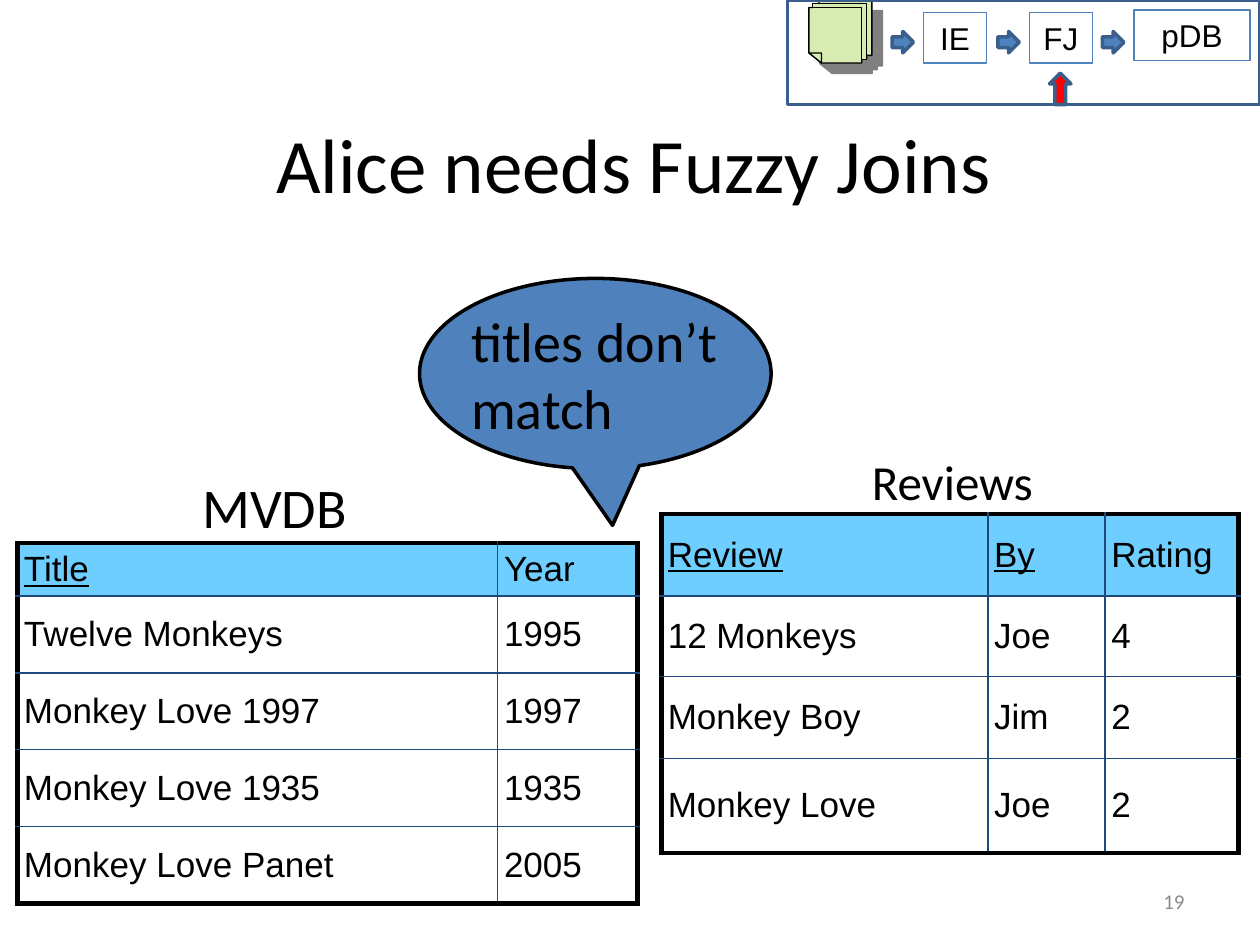
import pptx
import pptx.dml.color
import pptx.enum.shapes
import pptx.enum.text
import pptx.oxml
import pptx.oxml.ns
import pptx.util
from pptx.util import Inches

COLORS = {
    "ink": "000000",
    "muted": "8C8C8C",
    "blue": "4F81BD",
    "edge": "3A5F8C",
    "grid": "1F497D",
    "header": "66CCFF",
    "paper": "D8EBB3",
    "shadow": "808080",
    "red": "FF0000",
}
NAMESPACE = pptx.oxml.ns.nsdecls("a")
SHAPES = pptx.enum.shapes.MSO_SHAPE
ALIGN = pptx.enum.text.PP_ALIGN
MIDDLE = pptx.enum.text.MSO_ANCHOR.MIDDLE


def rgb(name):
    return pptx.dml.color.RGBColor.from_string(COLORS[name])


class SlideBuilder:
    heading_font = "Calibri"
    body_font = "Arial"

    def __init__(self, slide):
        self.slide = slide

    def style_text(self, frame, text, size, font, color="ink", align=ALIGN.LEFT,
                   margins=(0, 0, 0, 0), wrap=False):
        frame.word_wrap = wrap
        frame.vertical_anchor = MIDDLE
        (frame.margin_left, frame.margin_top,
         frame.margin_right, frame.margin_bottom) = map(Inches, margins)
        para = frame.paragraphs[0]
        para.text = text
        para.alignment = align
        self.style_font(para, size, font, color)

    def style_font(self, para, size, font, color="ink"):
        para.font.size = pptx.util.Pt(size)
        para.font.name = font
        para.font.color.rgb = rgb(color)

    def title(self, text, area):
        title = self.slide.shapes.title
        title.left, title.top, title.width, title.height = map(Inches, area)
        self.style_text(title.text_frame, text, 44, self.heading_font, align=ALIGN.CENTER,
                        margins=(0.11, 0, 0.13, 0), wrap=True)

    def label(self, text, area, size, **style):
        box = self.slide.shapes.add_textbox(*map(Inches, area))
        self.style_text(box.text_frame, text, size, self.heading_font, **style)

    def paint(self, shape, fill, line, weight):
        shape.shadow.inherit = False
        if fill:
            shape.fill.solid()
            shape.fill.fore_color.rgb = rgb(fill)
        else:
            shape.fill.background()
        shape.line.color.rgb = rgb(line)
        shape.line.width = pptx.util.Pt(weight)

    def shape(self, kind, area, fill, line, weight):
        shape = self.slide.shapes.add_shape(kind, *map(Inches, area))
        self.paint(shape, fill, line, weight)
        return shape

    def stage(self, text, area):
        box = self.shape(SHAPES.RECTANGLE, area, None, "blue", 0.75)
        self.style_text(box.text_frame, text, 18, self.body_font, align=ALIGN.CENTER,
                        margins=(0.1, 0.05, 0.1, 0.05), wrap=True)

    def callout(self, text, area, tip):
        bubble = self.shape(SHAPES.OVAL_CALLOUT, area, "blue", "ink", 2)
        bubble.adjustments[0], bubble.adjustments[1] = tip
        self.style_text(bubble.text_frame, text, 32, self.heading_font)

    def outline(self, points, shadow=False):
        builder = self.slide.shapes.build_freeform(
            *map(Inches, points[0]), scale=1.0)
        builder.add_line_segments([tuple(map(Inches, point)) for point in points[1:]])
        sheet = builder.convert_to_shape()
        self.paint(sheet, "paper", "ink", 0.75)
        if shadow:
            effects = sheet._element.spPr.find(pptx.oxml.ns.qn("a:effectLst"))
            effects.append(pptx.oxml.parse_xml(
                f'<a:outerShdw {NAMESPACE} blurRad="0" dist="{pptx.util.Pt(8.5)}" '
                f'dir="2700000" algn="ctr" rotWithShape="0">'
                f'<a:srgbClr val="{COLORS["shadow"]}"/></a:outerShdw>'))

    def border(self, cell, side, outer):
        color, weight = ("ink", 3) if outer else ("grid", 1)
        cell._tc.get_or_add_tcPr().append(pptx.oxml.parse_xml(
            f'<a:ln{side} {NAMESPACE} w="{pptx.util.Pt(weight)}"><a:solidFill>'
            f'<a:srgbClr val="{COLORS[color]}"/></a:solidFill></a:ln{side}>'))

    def table(self, left, top, widths, heights, rows, keys):
        frame = self.slide.shapes.add_table(
            len(rows), len(widths), Inches(left), Inches(top),
            Inches(sum(widths)), Inches(sum(heights)))
        table = frame.table
        table.first_row = table.horz_banding = False
        for column, width in zip(table.columns, widths):
            column.width = Inches(width)
        for row, height in zip(table.rows, heights):
            row.height = Inches(height)
        last_row, last_column = len(rows) - 1, len(widths) - 1
        for r, values in enumerate(rows):
            for c, value in enumerate(values):
                cell = table.cell(r, c)
                cell.margin_left = cell.margin_right = 0
                cell.margin_top = cell.margin_bottom = 0
                cell.vertical_anchor = MIDDLE
                for side, outer in (("L", c == 0), ("R", c == last_column),
                                    ("T", r == 0), ("B", r == last_row)):
                    self.border(cell, side, outer)
                if r == 0:
                    cell.fill.solid()
                    cell.fill.fore_color.rgb = rgb("header")
                    tint = next(cell._tc.tcPr.iterchildren(pptx.oxml.ns.qn("a:solidFill")))[0]
                    tint.append(pptx.oxml.parse_xml(f'<a:alpha {NAMESPACE} val="95000"/>'))
                else:
                    cell.fill.background()
                para = cell.text_frame.paragraphs[0]
                para.text = value
                para._p.get_or_add_pPr().set("marL", str(Inches(0.05)))
                self.style_font(para, 20, self.body_font)
                para.font.underline = r == 0 and value in keys


def main():
    deck = pptx.Presentation()
    deck.slide_width, deck.slide_height = Inches(10), Inches(7.5)
    page = SlideBuilder(deck.slides.add_slide(deck.slide_layouts[5]))

    page.title("Alice needs Fuzzy Joins", (0.25, 0.67, 9.58, 1.25))
    page.label("19", (7.17, 6.95, 2.33, 0.4), 12, color="muted", align=ALIGN.RIGHT,
               margins=(0.1, 0.05, 0.1, 0.05), wrap=True)

    page.label("MVDB", (1.53, 3.75, 1.3, 0.54), 32, align=ALIGN.CENTER)
    page.table(0.14, 4.31, (3.81, 1.11), (0.42,) + (0.61,) * 4, (
        ("Title", "Year"),
        ("Twelve Monkeys", "1995"),
        ("Monkey Love 1997", "1997"),
        ("Monkey Love 1935", "1935"),
        ("Monkey Love Panet", "2005"),
    ), keys=("Title",))
    page.callout("titles don’t\vmatch", (3.33, 2.21, 2.79, 1.51), (0.049, 0.798))
    page.label("Reviews", (6.92, 3.58, 1.29, 0.47), 28)
    page.table(5.25, 4.08, (2.59, 0.93, 1.06), (0.65, 0.64, 0.65, 0.75), (
        ("Review", "By", "Rating"),
        ("12 Monkeys", "Joe", "4"),
        ("Monkey Boy", "Jim", "2"),
        ("Monkey Love", "Joe", "2"),
    ), keys=("Review", "By"))

    page.outline(((6.42, 0.42), (6.42, 0.06), (6.45, 0.06), (6.45, 0.03), (6.5, 0.03),
                  (6.5, 0), (6.92, 0), (6.92, 0.44), (6.88, 0.44), (6.88, 0.47),
                  (6.84, 0.47), (6.84, 0.5), (6.52, 0.5)), shadow=True)
    page.outline(((6.5, 0.03), (6.88, 0.03), (6.88, 0.47), (6.84, 0.47),
                  (6.84, 0.06), (6.45, 0.06), (6.45, 0.03)))
    page.outline(((6.42, 0.42), (6.52, 0.42), (6.52, 0.5)))

    page.stage("IE", (7.33, 0.1, 0.5, 0.4))
    page.stage("FJ", (8.17, 0.1, 0.5, 0.4))
    page.stage("pDB", (9, 0.08, 0.92, 0.4))
    for left in (7.08, 7.92, 8.75):
        page.shape(SHAPES.RIGHT_ARROW, (left, 0.25, 0.17, 0.17), "blue", "edge", 2)
    page.shape(SHAPES.UP_ARROW, (8.33, 0.58, 0.17, 0.25), "red", "edge", 2)
    page.shape(SHAPES.RECTANGLE, (6.25, 0, 3.75, 0.83), None, "edge", 2)

    deck.save("out.pptx")


if __name__ == "__main__":
    main()
